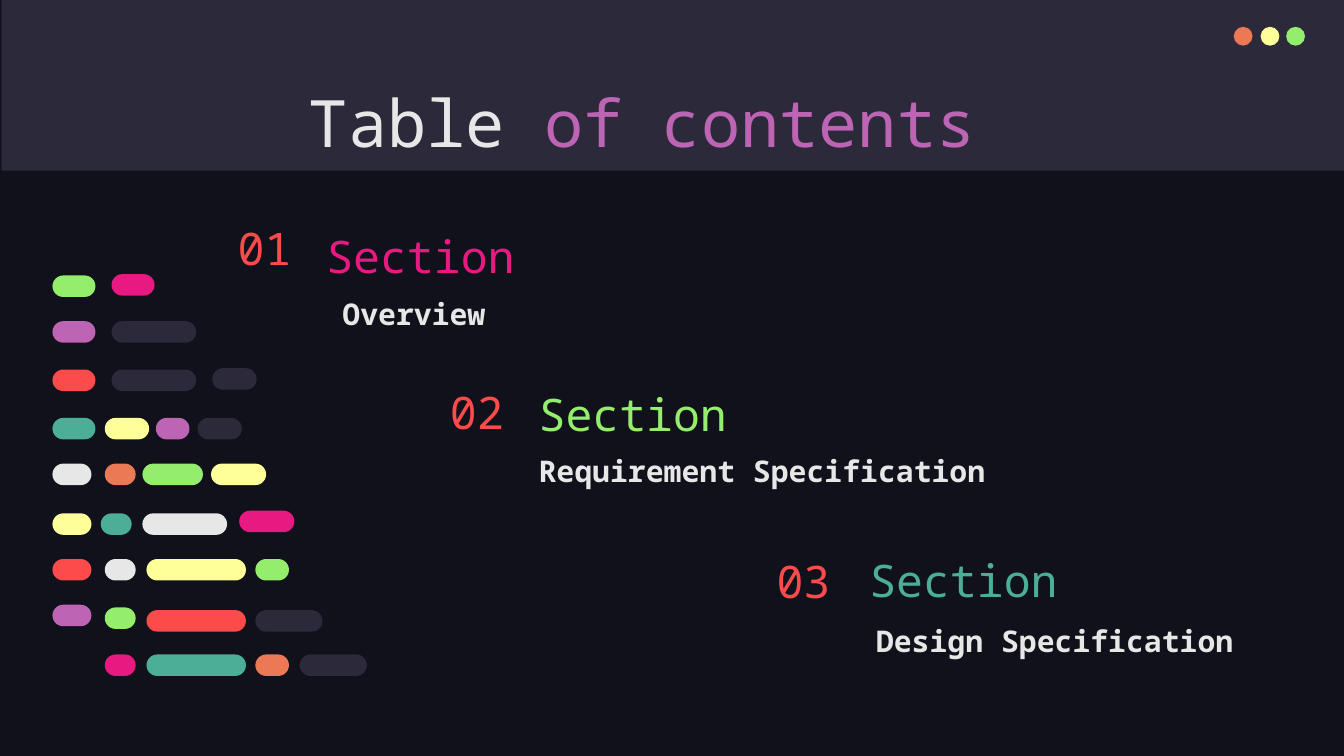
from typing import NamedTuple

from pptx import Presentation
from pptx.dml.color import RGBColor
from pptx.enum.shapes import MSO_SHAPE
from pptx.enum.text import MSO_ANCHOR
from pptx.util import Inches, Pt

RECT = MSO_SHAPE.RECTANGLE
OVAL = MSO_SHAPE.OVAL
ROUNDED = MSO_SHAPE.ROUNDED_RECTANGLE
TOP, MIDDLE, BOTTOM = MSO_ANCHOR.TOP, MSO_ANCHOR.MIDDLE, MSO_ANCHOR.BOTTOM

NIGHT = RGBColor(0x10, 0x11, 0x1A)
SLATE = RGBColor(0x2C, 0x29, 0x3A)
WHITE = RGBColor(0xE7, 0xE7, 0xE7)
PURPLE = RGBColor(0xBD, 0x64, 0xB5)
RED = RGBColor(0xFD, 0x4A, 0x4A)
PINK = RGBColor(0xE8, 0x1A, 0x81)
GREEN = RGBColor(0x94, 0xEE, 0x6B)
TEAL = RGBColor(0x4C, 0xAE, 0x97)
ORANGE = RGBColor(0xEC, 0x79, 0x55)
YELLOW = RGBColor(0xFF, 0xFF, 0x99)

FONT = "Noto Sans Mono"
BAR_HEIGHT = 0.16
DOT_SIZE = 0.14


class Box(NamedTuple):
    left: float
    top: float
    width: float
    height: float


class Bar(NamedTuple):
    left: float
    top: float
    width: float
    color: RGBColor


class Section(NamedTuple):
    number: str
    name: str
    color: RGBColor
    number_box: Box
    heading_box: Box
    name_box: Box


DOTS = [
    Bar(9.18, 0.2, DOT_SIZE, ORANGE),
    Bar(9.38, 0.2, DOT_SIZE, YELLOW),
    Bar(9.57, 0.2, DOT_SIZE, GREEN),
]

BARS = [
    Bar(0.39, 2.05, 0.32, GREEN),
    Bar(0.83, 2.04, 0.32, PINK),
    Bar(0.39, 2.39, 0.32, PURPLE),
    Bar(0.83, 2.39, 0.63, SLATE),
    Bar(0.39, 2.75, 0.32, RED),
    Bar(0.83, 2.75, 0.63, SLATE),
    Bar(1.58, 2.74, 0.33, SLATE),
    Bar(0.39, 3.11, 0.32, TEAL),
    Bar(0.78, 3.11, 0.33, YELLOW),
    Bar(1.16, 3.11, 0.25, PURPLE),
    Bar(1.47, 3.11, 0.33, SLATE),
    Bar(0.39, 3.45, 0.29, WHITE),
    Bar(0.78, 3.45, 0.23, ORANGE),
    Bar(1.06, 3.45, 0.45, GREEN),
    Bar(1.57, 3.45, 0.41, YELLOW),
    Bar(0.39, 3.82, 0.29, YELLOW),
    Bar(0.75, 3.82, 0.23, TEAL),
    Bar(1.06, 3.82, 0.63, WHITE),
    Bar(1.78, 3.8, 0.41, PINK),
    Bar(0.39, 4.16, 0.29, RED),
    Bar(0.78, 4.16, 0.23, WHITE),
    Bar(1.09, 4.16, 0.74, YELLOW),
    Bar(1.9, 4.16, 0.25, GREEN),
    Bar(0.39, 4.5, 0.29, PURPLE),
    Bar(0.78, 4.52, 0.23, GREEN),
    Bar(1.09, 4.54, 0.74, RED),
    Bar(1.9, 4.54, 0.5, SLATE),
    Bar(0.78, 4.87, 0.23, PINK),
    Bar(1.09, 4.87, 0.74, TEAL),
    Bar(1.9, 4.87, 0.25, ORANGE),
    Bar(2.23, 4.87, 0.5, SLATE),
]

SECTIONS = [
    Section("01", "Overview", PINK, Box(1.67, 1.63, 0.66, 0.43),
            Box(2.33, 1.67, 4.6, 0.53), Box(2.45, 2.06, 4.6, 0.63)),
    Section("02", "Requirement Specification", GREEN, Box(3.25, 2.85, 0.66, 0.43),
            Box(3.91, 2.85, 4.6, 0.53), Box(3.91, 3.23, 4.6, 0.63)),
    Section("03", "Design Specification", TEAL, Box(5.68, 4.14, 0.66, 0.36),
            Box(6.37, 4.08, 4.6, 0.53), Box(6.42, 4.49, 4.6, 0.63)),
]


def add_shape(shapes, kind: MSO_SHAPE, box: Box, color: RGBColor):
    sp = shapes.add_shape(kind, *map(Inches, box))
    sp.shadow.inherit = False
    sp.fill.solid()
    sp.fill.fore_color.rgb = color
    sp.line.fill.background()
    return sp


def add_bars(s, kind: MSO_SHAPE, bars: list[Bar], height: float) -> None:
    group = s.shapes.add_group_shape()
    for bar in bars:
        box = Box(bar.left, bar.top, bar.width, height)
        sp = add_shape(group.shapes, kind, box, bar.color)
        if kind == ROUNDED:
            sp.adjustments[0] = 0.5


def add_text(s, box: Box, runs: list[tuple[str, RGBColor]], *, size: int,
             bold: bool = False, anchor: MSO_ANCHOR = TOP, spacing: float = 1.0) -> None:
    tf = s.shapes.add_textbox(*map(Inches, box)).text_frame
    tf.word_wrap = True
    tf.vertical_anchor = anchor
    tf.margin_left = tf.margin_right = tf.margin_top = tf.margin_bottom = Inches(0.1)
    p = tf.paragraphs[0]
    p.line_spacing = spacing
    for text, color in runs:
        r = p.add_run()
        r.text = text
        r.font.name = FONT
        r.font.size = Pt(size)
        r.font.bold = bold
        r.font.color.rgb = color


def add_section(s, section: Section) -> None:
    add_text(s, section.number_box, [(section.number, RED)], size=24, anchor=MIDDLE)
    add_text(s, section.heading_box, [("Section", section.color)], size=24,
             anchor=BOTTOM, spacing=1.15)
    add_text(s, section.name_box, [(section.name, WHITE)], size=16, bold=True,
             spacing=1.15)


def main() -> None:
    prs = Presentation()
    prs.slide_width = Inches(10)
    prs.slide_height = prs.slide_width * 9 // 16
    s = prs.slides.add_slide(prs.slide_layouts[6])
    s.background.fill.solid()
    s.background.fill.fore_color.rgb = NIGHT

    add_shape(s.shapes, RECT, Box(0.01, 0, 10, 1.27), SLATE)
    add_bars(s, OVAL, DOTS, DOT_SIZE)
    add_text(s, Box(2.2, 0.51, 8.43, 0.63),
             [("Table ", WHITE), ("of contents", PURPLE)], size=35)
    for section in SECTIONS:
        add_section(s, section)
    add_bars(s, ROUNDED, BARS, BAR_HEIGHT)
    prs.save("out.pptx")


if __name__ == "__main__":
    main()
